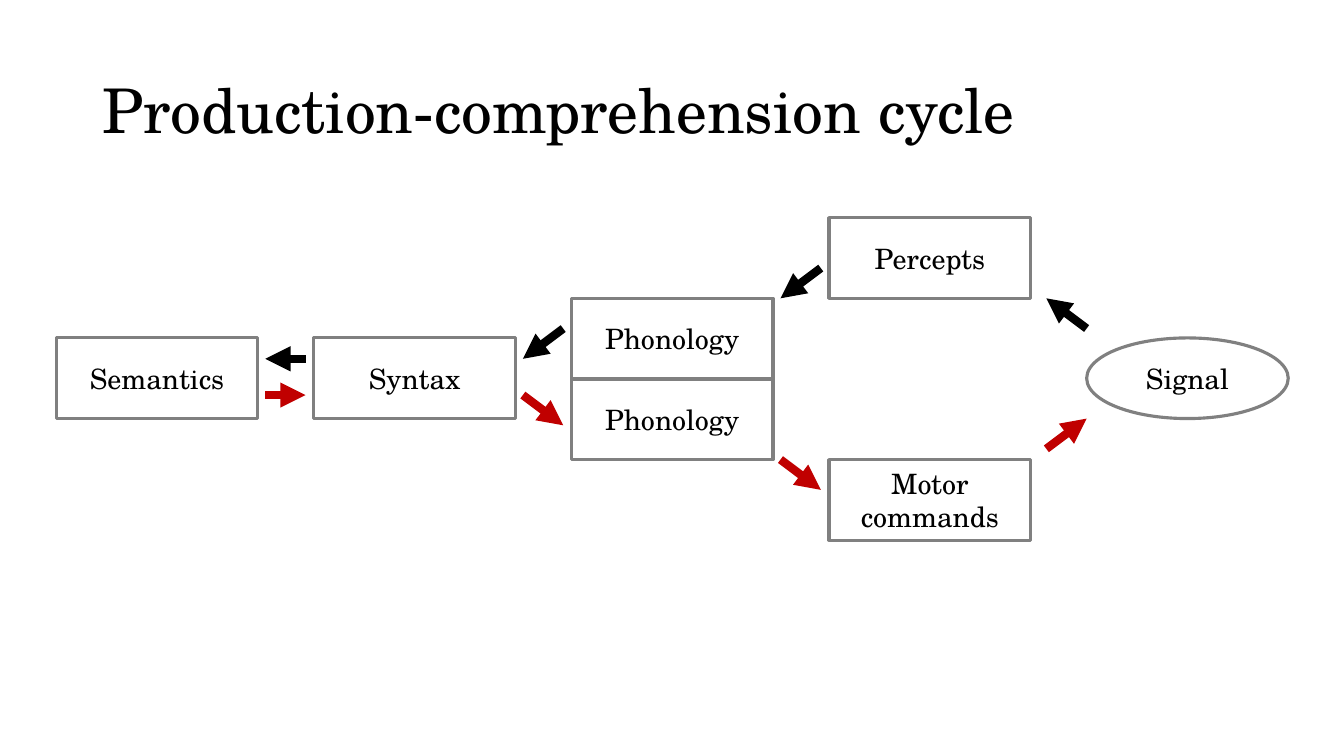
from lxml import etree
from pptx import Presentation
from pptx.dml.color import RGBColor
from pptx.enum.shapes import MSO_CONNECTOR, MSO_SHAPE
from pptx.enum.text import MSO_ANCHOR, PP_ALIGN
from pptx.oxml.ns import qn
from pptx.util import Pt

PROCESS = MSO_SHAPE.FLOWCHART_PROCESS
ELLIPSE = MSO_SHAPE.FLOWCHART_CONNECTOR
STRAIGHT = MSO_CONNECTOR.STRAIGHT
MIDDLE = MSO_ANCHOR.MIDDLE
CENTER = PP_ALIGN.CENTER

FONT = "TeX Gyre Schola"
BLACK, RED, GREY, WHITE = "000000", "C00000", "808080", "FFFFFF"

# Stage grid, in points
STAGE_W, STAGE_H = 144, 57.6
FIRST_COLUMN, COLUMN_STEP = 40.2, 184
TOP_ROW = 155.5
MIDDLE_ROW = 241.4
ARROW_RUN, ARROW_RISE = 28.8, 21.6
ARROW_OFFSET = 149.3
BACK_Y, FORTH_Y = 256.3, 282.2


def color(hex_string):
    return RGBColor.from_string(hex_string)


def column(index):
    return FIRST_COLUMN + index * COLUMN_STEP


def row(index):
    return TOP_ROW + index * STAGE_H


def write(frame, text, size):
    frame.word_wrap = True
    frame.vertical_anchor = MIDDLE
    paragraph = frame.paragraphs[0]
    run = paragraph.add_run()
    run.text = text
    run.font.name = FONT
    run.font.size = Pt(size)
    run.font.color.rgb = color(BLACK)
    return paragraph


def add_title(slide, text):
    title = slide.shapes.add_textbox(Pt(66), Pt(28.8), Pt(828), Pt(104.4))
    write(title.text_frame, text, 44).line_spacing = 0.9


def add_stage(slide, text, left, top, outline=PROCESS):
    stage = slide.shapes.add_shape(
        outline, Pt(left), Pt(top), Pt(STAGE_W), Pt(STAGE_H))
    stage.shadow.inherit = False
    stage.fill.solid()
    stage.fill.fore_color.rgb = color(WHITE)
    stage.line.color.rgb = color(GREY)
    stage.line.width = Pt(2.25)
    write(stage.text_frame, text, 20).alignment = CENTER


def add_arrow(slide, start, end, hex_string):
    arrow = slide.shapes.add_connector(
        STRAIGHT, *(Pt(value) for value in (*start, *end)))
    arrow.line.color.rgb = color(hex_string)
    arrow.line.width = Pt(6)
    etree.SubElement(arrow.line._get_or_add_ln(), qn("a:tailEnd"), type="triangle")
    etree.SubElement(arrow._element.spPr, qn("a:effectLst"))


def add_arrow_pair(slide, left, back_left, back_right, forth_left, forth_right):
    """Comprehension runs leftwards in black, production rightwards in red."""
    right = left + ARROW_RUN
    add_arrow(slide, (right, back_right), (left, back_left), BLACK)
    add_arrow(slide, (left, forth_left), (right, forth_right), RED)


def main():
    prs = Presentation()
    prs.slide_width, prs.slide_height = Pt(960), Pt(540)
    slide = prs.slides.add_slide(prs.slide_layouts[6])

    add_title(slide, "Production-comprehension cycle")

    # Stages of the cycle
    add_stage(slide, "Semantics", column(0), MIDDLE_ROW)
    add_stage(slide, "Syntax", column(1), MIDDLE_ROW)
    add_stage(slide, "Phonology", column(2), row(1))
    add_stage(slide, "Signal", column(4), MIDDLE_ROW, ELLIPSE)
    add_stage(slide, "Motor commands", column(3), row(3))
    add_stage(slide, "Percepts", column(3), row(0))
    add_stage(slide, "Phonology", column(2), row(2))

    # Semantics and syntax
    add_arrow_pair(slide, column(0) + ARROW_OFFSET,
                   BACK_Y, BACK_Y, FORTH_Y, FORTH_Y)
    # Syntax and phonology
    add_arrow_pair(slide, column(1) + ARROW_OFFSET,
                   BACK_Y, BACK_Y - ARROW_RISE, FORTH_Y, FORTH_Y + ARROW_RISE)
    # Phonology with percepts and motor commands
    add_arrow_pair(slide, column(2) + ARROW_OFFSET,
                   row(1), row(1) - ARROW_RISE, row(3), row(3) + ARROW_RISE)
    # Percepts and motor commands with the signal
    signal_bottom = MIDDLE_ROW + STAGE_H
    add_arrow_pair(slide, column(4) - ARROW_RUN,
                   row(1), row(1) + ARROW_RISE,
                   signal_bottom + ARROW_RISE, signal_bottom)

    prs.save("out.pptx")


if __name__ == "__main__":
    main()
